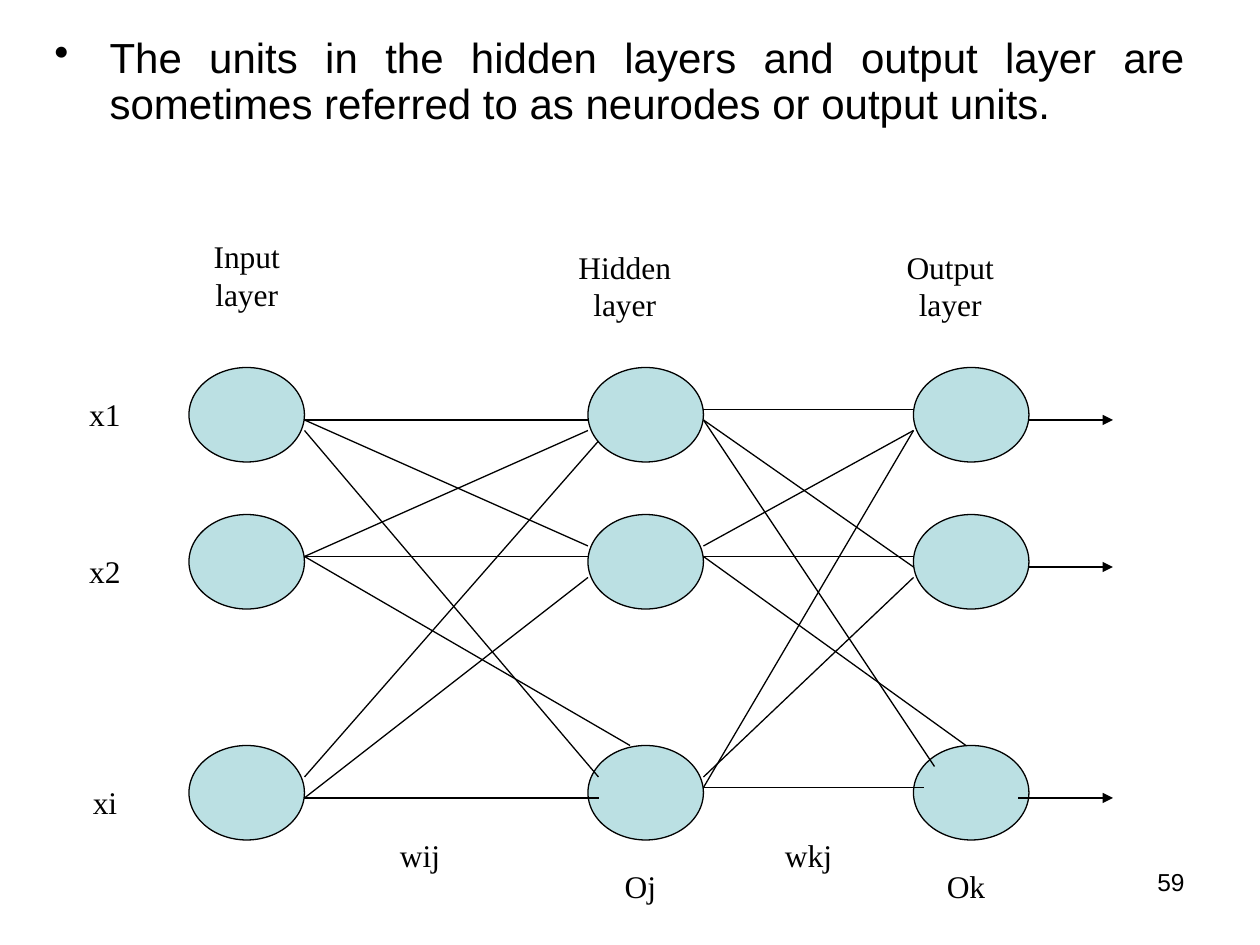
import pptx
import pptx.util
import pptx.dml.color
import pptx.enum.shapes
import pptx.enum.text
import pptx.oxml.ns
from lxml import etree

PX = 9525  # EMU per px, 96 px to the inch
BLACK = pptx.dml.color.RGBColor(0x00, 0x00, 0x00)
UNIT_FILL = pptx.dml.color.RGBColor(0xBB, 0xE0, 0xE3)
ALIGN = pptx.enum.text.PP_ALIGN

# Content
STATEMENT = ("The units in the hidden layers and output layer are "
             "sometimes referred to as neurodes or output units.")
PAGE_NUMBER = "59"

LABELS = [  # text, left, top, width, height
    ("Input layer", 128, 176, 120, 67),
    ("Hidden layer", 416, 184, 120, 67),
    ("Output layer", 664, 184, 120, 67),
    ("x1", 48, 296, 64, 38),
    ("x2", 48, 416, 64, 38),
    ("xi", 48, 592, 64, 38),
    ("wij", 288, 632, 64, 38),
    ("wkj", 584, 632, 64, 38),
    ("Oj", 456, 656, 64, 38),
    ("Ok", 704, 656, 64, 38),
]

# Network geometry
UNIT_WIDTH, UNIT_HEIGHT = 88, 72
LAYER_LEFTS = INPUT, HIDDEN, OUTPUT = 144, 448, 696
UNIT_TOPS = 280, 392, 568
ARROW_END = 848

# Links between layers: start y, end y, how far the end reaches into the unit
INPUT_TO_HIDDEN = [
    (320, 320, 0), (320, 416, 0), (328, 592, 8),
    (424, 328, 0), (424, 424, 0), (424, 568, 32),
    (608, 608, 8), (608, 440, 0), (592, 336, 8),
]
HIDDEN_TO_OUTPUT = [
    (312, 312, 0), (320, 432, 0), (320, 584, 16),
    (424, 424, 0), (416, 328, 0), (424, 568, 40),
    (600, 600, 8), (592, 440, 0), (600, 328, 0),
]
OUTPUT_ARROWS = [(784, 320), (784, 432), (776, 608)]  # start x, y


def px(*lengths):
    return [length * PX for length in lengths]


def add_text(page, text, place, size, font, align):
    box = page.shapes.add_textbox(*px(*place))
    box.text_frame.word_wrap = True
    box.text_frame.text = text
    para = box.text_frame.paragraphs[0]
    para.alignment = align
    span = para.runs[0]
    span.font.size = pptx.util.Pt(size)
    span.font.name = font
    span.font.color.rgb = BLACK
    return para


def add_bullet(para, indent):
    props = para._p.get_or_add_pPr()
    props.set("marL", str(indent * PX))
    props.set("indent", str(-indent * PX))
    bullet = etree.SubElement(props, pptx.oxml.ns.qn("a:buChar"))
    bullet.set("char", "•")


def add_unit(page, left, top):
    unit = page.shapes.add_shape(pptx.enum.shapes.MSO_SHAPE.OVAL,
                                 *px(left, top, UNIT_WIDTH, UNIT_HEIGHT))
    unit.shadow.inherit = False
    unit.fill.solid()
    unit.fill.fore_color.rgb = UNIT_FILL
    unit.line.color.rgb = BLACK
    unit.line.width = pptx.util.Pt(0.75)


def add_link(page, start_x, start_y, end_x, end_y, arrow=False):
    link = page.shapes.add_connector(pptx.enum.shapes.MSO_CONNECTOR.STRAIGHT,
                                     *px(start_x, start_y, end_x, end_y))
    link.line.color.rgb = BLACK
    link.line.width = pptx.util.Pt(0.75)
    if arrow:
        head = etree.SubElement(link.line._get_or_add_ln(), pptx.oxml.ns.qn("a:tailEnd"))
        head.set("type", "triangle")
    etree.SubElement(link._element.spPr, pptx.oxml.ns.qn("a:effectLst"))


def main():
    deck = pptx.Presentation()
    deck.slide_width, deck.slide_height = px(960, 720)
    page = deck.slides.add_slide(deck.slide_layouts[6])

    # Page number and statement
    add_text(page, PAGE_NUMBER, (688, 656, 224, 50), 14, "Arial", ALIGN.RIGHT)
    para = add_text(page, STATEMENT, (32, 24, 880, 619), 24, "Arial", ALIGN.JUSTIFY)
    para.line_spacing = 0.9
    para.space_before = pptx.util.Pt(6)
    add_bullet(para, 42)

    # Units
    for left in LAYER_LEFTS:
        for top in UNIT_TOPS:
            add_unit(page, left, top)

    # Links between layers, then output arrows
    for source, target, links in ((INPUT, HIDDEN, INPUT_TO_HIDDEN),
                                  (HIDDEN, OUTPUT, HIDDEN_TO_OUTPUT)):
        for start_y, end_y, reach in links:
            add_link(page, source + UNIT_WIDTH, start_y, target + reach, end_y)
    for start_x, y in OUTPUT_ARROWS:
        add_link(page, start_x, y, ARROW_END, y, arrow=True)

    # Labels
    for text, *place in LABELS:
        add_text(page, text, place, 18, "Times New Roman", ALIGN.CENTER)

    deck.save("out.pptx")


if __name__ == "__main__":
    main()
